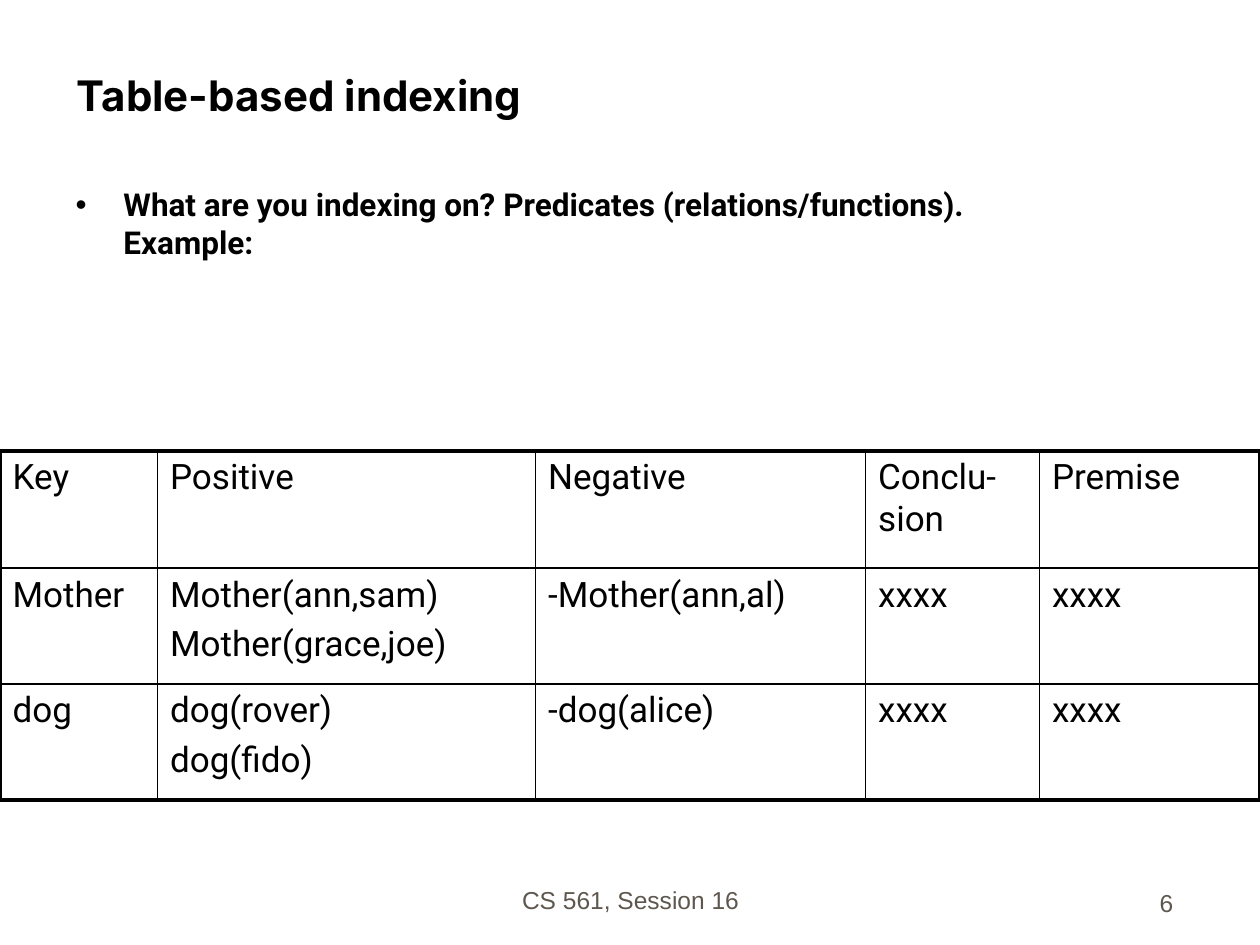
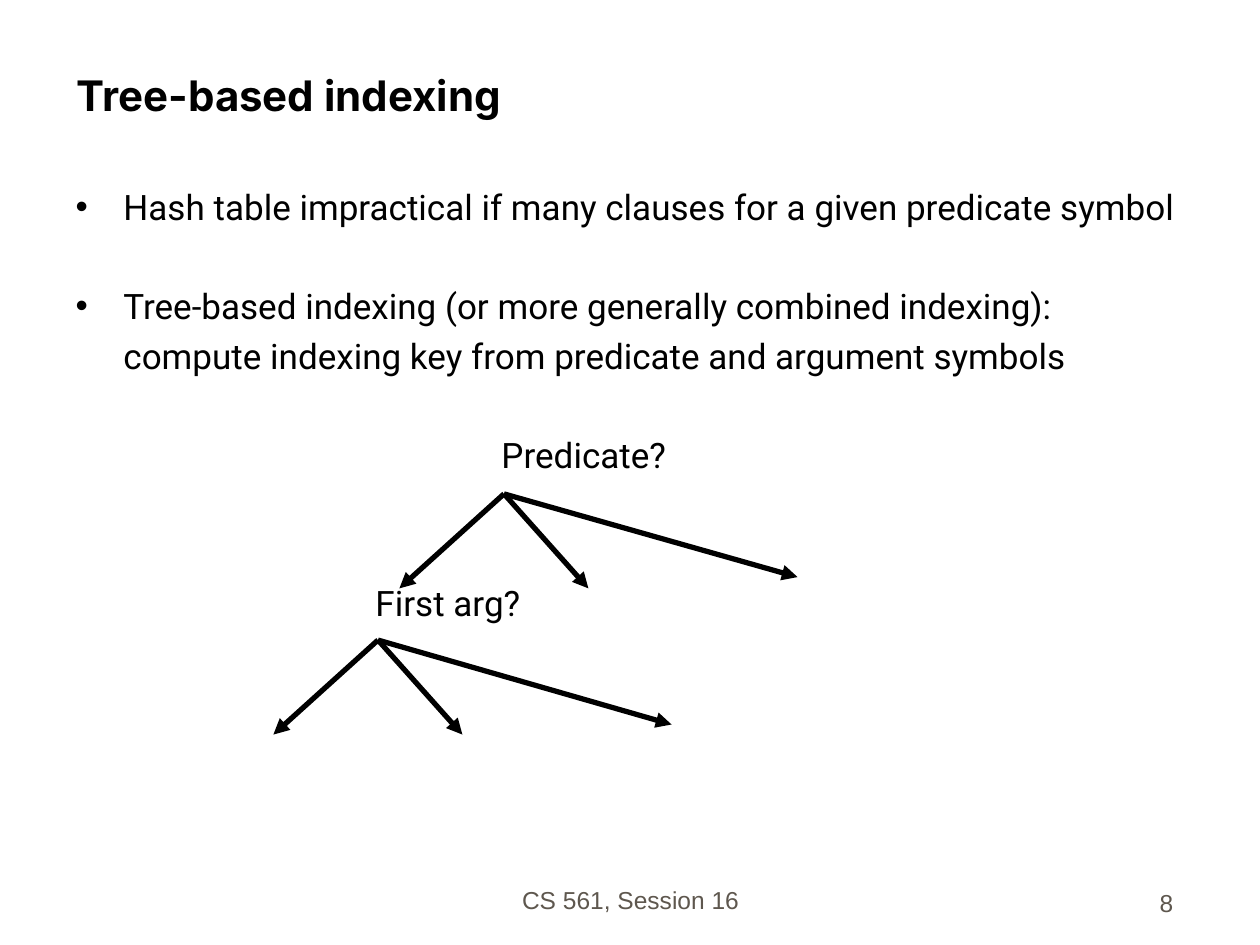
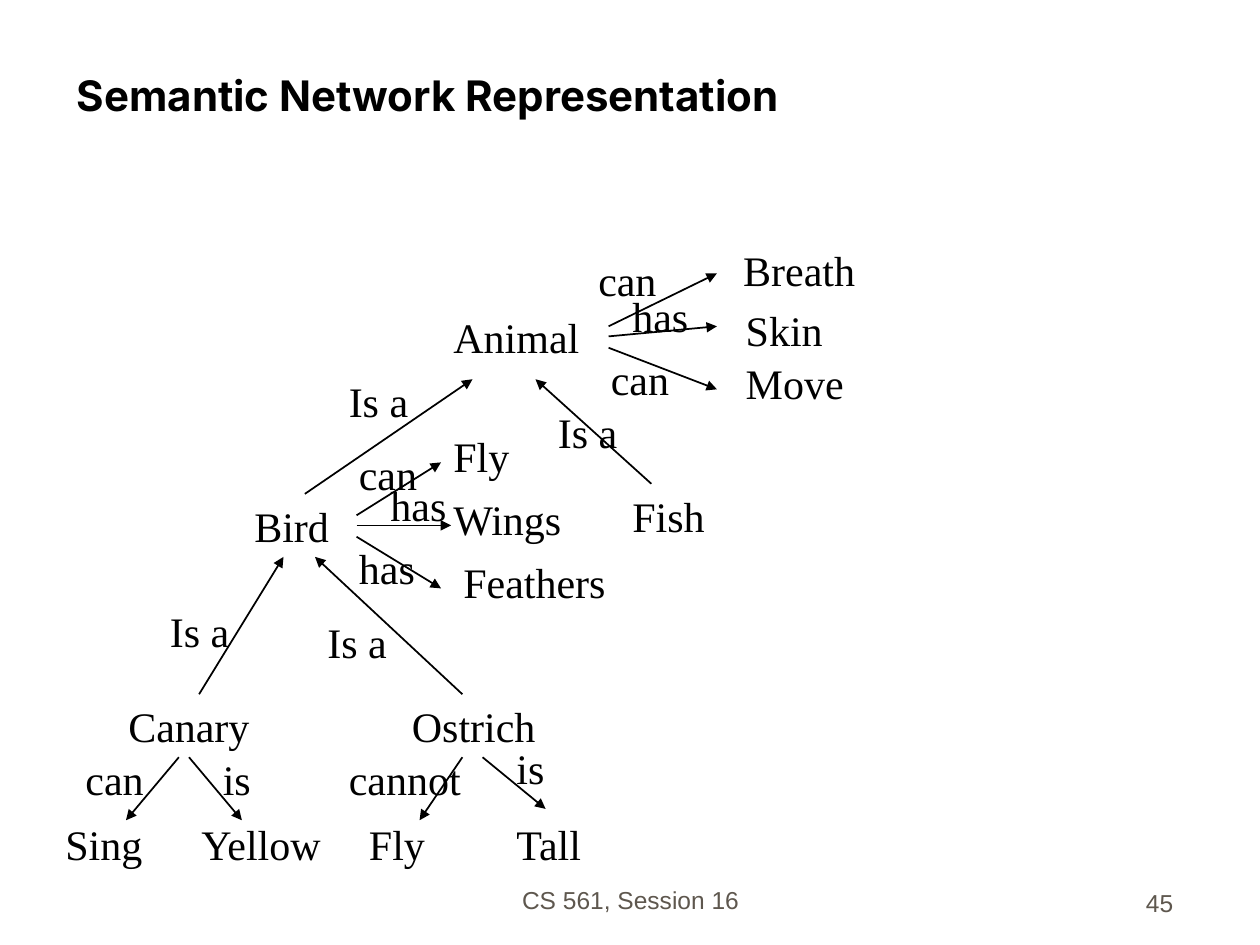
from dataclasses import dataclass
from typing import NamedTuple

from lxml.etree import SubElement
from pptx import Presentation
from pptx.dml.color import RGBColor
from pptx.enum.shapes import MSO_CONNECTOR
from pptx.enum.text import MSO_ANCHOR, MSO_AUTO_SIZE, PP_ALIGN
from pptx.oxml.ns import qn
from pptx.util import Inches, Pt

# Shared look
BLACK = "000000"
FOOTER_GREY = "5E574E"
TITLE_FONT, BODY_FONT = "Inter", "Roboto"
FOOTER_FONT, NETWORK_FONT = "Arial", "Times New Roman"
FOOTER_TEXT = "CS 561, Session 16"
HANGING = 0.38
TITLE_ONLY, TITLE_AND_BODY = 5, 1
THIN, THICK = 1, 2.25


class Box(NamedTuple):
    left: float
    top: float
    width: float
    height: float


TITLE_BOX = Box(0.51, 0.25, 8.92, 0.75)
BODY_BOX = Box(0.5, 1.42, 8.94, 5.21)
FOOTER_BOX = Box(3.42, 6.81, 3.17, 0.5)
NUMBER_BOX = Box(7.33, 6.83, 2.08, 0.5)


@dataclass
class Line:
    """One paragraph of the body list."""
    text: str
    before: float = 0
    margin: float = HANGING
    bullet: bool = False


class Label(NamedTuple):
    text: str
    left: float
    top: float


class Fan(NamedTuple):
    """Arrows that leave one point."""
    start: tuple[float, float]
    ends: list[tuple[float, float]]


class Arrow(NamedTuple):
    start: tuple[float, float]
    end: tuple[float, float]


# Helpers
def colour(value: str) -> RGBColor:
    return RGBColor.from_string(value)


def place(shape, box: Box) -> None:
    shape.left, shape.top, shape.width, shape.height = map(Inches, box)


def style(para, font: str, size: float, value: str = BLACK, bold: bool = False) -> None:
    for span in para.runs:
        span.font.name = font
        span.font.size = Pt(size)
        span.font.bold = bold
        span.font.color.rgb = colour(value)


def add_text(page, text: str, box: Box, font: str, size: float,
             value: str = BLACK, align=PP_ALIGN.LEFT,
             anchor=MSO_ANCHOR.TOP, wrap: bool = True) -> None:
    frame = page.shapes.add_textbox(*map(Inches, box)).text_frame
    frame.text = text
    frame.word_wrap = wrap
    frame.auto_size = MSO_AUTO_SIZE.NONE if wrap else MSO_AUTO_SIZE.SHAPE_TO_FIT_TEXT
    frame.vertical_anchor = anchor
    frame.paragraphs[0].alignment = align
    style(frame.paragraphs[0], font, size, value)


def add_page(deck, layout: int, title: str, number: int):
    page = deck.slides.add_slide(deck.slide_layouts[layout])
    heading = page.shapes.title
    place(heading, TITLE_BOX)
    frame = heading.text_frame
    frame.text = title
    frame.auto_size = MSO_AUTO_SIZE.NONE
    frame.vertical_anchor = MSO_ANCHOR.BOTTOM
    frame.paragraphs[0].alignment = PP_ALIGN.LEFT
    style(frame.paragraphs[0], TITLE_FONT, 24, bold=True)
    for text, box, align in ((FOOTER_TEXT, FOOTER_BOX, PP_ALIGN.CENTER),
                             (str(number), NUMBER_BOX, PP_ALIGN.RIGHT)):
        add_text(page, text, box, FOOTER_FONT, 14, FOOTER_GREY, align, MSO_ANCHOR.BOTTOM)
    return page


def fill_body(page, lines: list[Line], size: float, bold: bool = False) -> None:
    body = page.placeholders[1]
    place(body, BODY_BOX)
    frame = body.text_frame
    frame.auto_size = MSO_AUTO_SIZE.NONE
    frame.text = "\n".join(line.text for line in lines)
    for para, line in zip(frame.paragraphs, lines):
        para.space_before = Pt(line.before)
        style(para, BODY_FONT, size, bold=bold)
        props = para._p.get_or_add_pPr()
        props.set("marL", str(Inches(line.margin)))
        props.set("indent", str(Inches(-HANGING if line.bullet else 0)))
        if line.bullet:
            tint = SubElement(props, qn("a:buClr"))
            SubElement(tint, qn("a:srgbClr"), val=BLACK)
            SubElement(props, qn("a:buFont"), typeface="Arial")
            SubElement(props, qn("a:buChar"), char="•")
        else:
            SubElement(props, qn("a:buNone"))


def add_arrow(page, arrow: Arrow, width: float) -> None:
    line = page.shapes.add_connector(
        MSO_CONNECTOR.STRAIGHT, *map(Inches, arrow.start + arrow.end))
    line.line.color.rgb = colour(BLACK)
    line.line.width = Pt(width)
    SubElement(line.line._get_or_add_ln(), qn("a:tailEnd"), type="triangle")
    SubElement(line._element.spPr, qn("a:effectLst"))


def add_fan(page, fan: Fan, width: float) -> None:
    for end in fan.ends:
        add_arrow(page, Arrow(fan.start, end), width)


def set_borders(cell, left: float, right: float, top: float, bottom: float) -> None:
    props = cell._tc.get_or_add_tcPr()
    for side, width in zip("LRTB", (left, right, top, bottom)):
        edge = SubElement(props, qn(f"a:ln{side}"), w=str(Pt(width)))
        fill = SubElement(edge, qn("a:solidFill"))
        SubElement(fill, qn("a:srgbClr"), val=BLACK)


def add_grid(page, rows: list[list[str]], widths: list[float],
             heights: list[float], left: float, top: float) -> None:
    table = page.shapes.add_table(
        len(rows), len(widths), Inches(left), Inches(top),
        Inches(sum(widths)), Inches(sum(heights))).table
    table.first_row = table.horz_banding = False
    for column, width in zip(table.columns, widths):
        column.width = Inches(width)
    for row, height in zip(table.rows, heights):
        row.height = Inches(height)
    last_row, last_column = len(rows) - 1, len(widths) - 1
    for i, row in enumerate(rows):
        for j, text in enumerate(row):
            cell = table.cell(i, j)
            cell.text = text
            for k, para in enumerate(cell.text_frame.paragraphs):
                para.space_before = Pt(4.6 if k else 0)
                style(para, BODY_FONT, 20)
            set_borders(cell,
                        THICK if j == 0 else THIN,
                        THICK if j == last_column else THIN,
                        THICK if i == 0 else THIN,
                        THICK if i == last_row else THIN)
            cell.fill.background()


# Table-based indexing
INDEX_ROWS = [
    ["Key", "Positive", "Negative", "Conclu-sion", "Premise"],
    ["Mother", "Mother(ann,sam)\nMother(grace,joe)", "-Mother(ann,al)", "xxxx", "xxxx"],
    ["dog", "dog(rover)\ndog(fido)", "-dog(alice)", "xxxx", "xxxx"],
]


def build_table_page(deck) -> None:
    page = add_page(deck, TITLE_AND_BODY, "Table-based indexing", 6)
    fill_body(page, [Line("What are you indexing on? Predicates "
                          "(relations/functions).\vExample:", bullet=True)], 18, bold=True)
    add_grid(page, INDEX_ROWS, [1.25, 3, 2.62, 1.38, 1.75], [0.93, 0.92, 0.92], 0, 3.58)


# Tree-based indexing
PITCH = 28    # one line of body text with its gap, in points
GAP = 4.6
TREE_LINES = [
    Line("Hash table impractical if many clauses for a given predicate symbol", bullet=True),
    Line("Tree-based indexing (or more generally combined indexing):", GAP + PITCH, bullet=True),
    Line("compute indexing key from predicate and argument symbols", GAP),
    Line("Predicate?", GAP + PITCH, 3.38),
    Line("First arg?", GAP + 2 * PITCH, 2.38),
]
TREE_FANS = [
    Fan((4, 3.92), [(3.17, 4.67), (4.67, 4.67), (6.33, 4.58)]),
    Fan((3, 5.08), [(2.17, 5.83), (3.67, 5.83), (5.33, 5.75)]),
]


def build_tree_page(deck) -> None:
    page = add_page(deck, TITLE_AND_BODY, "Tree-based indexing", 8)
    fill_body(page, TREE_LINES, 20)
    for fan in TREE_FANS:
        add_fan(page, fan, 3)


# Semantic network
LABEL_WIDTHS = {
    "Animal": 1.2, "Ostrich": 1.18, "Canary": 1.16, "Fish": 0.78, "Bird": 0.79,
    "Breath": 1.09, "Skin": 0.81, "Move": 0.98, "Feathers": 1.33, "Wings": 1.07,
    "Fly": 0.65, "Tall": 0.74, "Yellow": 1.18, "Sing": 0.81,
    "can": 0.66, "has": 0.65, "Is a": 0.67, "is": 0.42, "cannot": 1.09,
}
CONCEPTS = [
    Label("Animal", 3.5, 2.42), Label("Ostrich", 3.17, 5.51), Label("Canary", 0.92, 5.51),
    Label("Fish", 4.92, 3.84), Label("Bird", 1.92, 3.92),
]
PROPERTIES = [
    Label("Breath", 5.8, 1.89), Label("Skin", 5.82, 2.37), Label("Move", 5.82, 2.79),
    Label("Feathers", 3.58, 4.37), Label("Wings", 3.5, 3.87), Label("Fly", 3.5, 3.37),
    Label("Tall", 4, 6.45), Label("Fly", 2.83, 6.45),
    Label("Yellow", 1.5, 6.45), Label("Sing", 0.42, 6.45),
]
RELATIONS = [
    Label("can", 4.65, 1.97), Label("can", 4.75, 2.76), Label("has", 4.92, 2.26),
    Label("has", 3, 3.76), Label("can", 2.75, 3.51), Label("Is a", 1.25, 4.76),
    Label("Is a", 2.5, 4.84), Label("has", 2.75, 4.26), Label("is", 1.67, 5.93),
    Label("is", 4, 5.84), Label("can", 0.58, 5.93), Label("cannot", 2.67, 5.93),
    Label("Is a", 2.67, 2.93), Label("Is a", 4.33, 3.18),
]
PARENT_ARROWS = [
    Arrow((2.42, 3.92), (3.75, 3.01)), Arrow((5.17, 3.84), (4.25, 3.01)),
    Arrow((1.58, 5.51), (2.25, 4.42)), Arrow((3.67, 5.51), (2.5, 4.42)),
]
PROPERTY_ARROWS = [
    Arrow((1.42, 6.01), (1, 6.51)), Arrow((1.5, 6.01), (1.92, 6.51)),
    Arrow((3.67, 6.01), (3.33, 6.51)), Arrow((3.83, 6.01), (4.33, 6.42)),
    Arrow((2.83, 4.09), (3.5, 3.67)), Arrow((2.83, 4.17), (3.58, 4.17)),
    Arrow((2.83, 4.26), (3.5, 4.67)), Arrow((4.83, 2.59), (5.69, 2.17)),
    Arrow((4.83, 2.67), (5.69, 2.59)), Arrow((4.83, 2.76), (5.69, 3.09)),
]


def add_labels(page, labels: list[Label]) -> None:
    for label in labels:
        box = Box(label.left, label.top, LABEL_WIDTHS[label.text], 0.5)
        add_text(page, label.text, box, NETWORK_FONT, 24, wrap=False)


def build_network_page(deck) -> None:
    page = add_page(deck, TITLE_ONLY, "Semantic Network Representation", 45)
    add_labels(page, CONCEPTS)
    for arrow in PARENT_ARROWS + PROPERTY_ARROWS:
        add_arrow(page, arrow, 1)
    add_labels(page, PROPERTIES + RELATIONS)


def main() -> None:
    deck = Presentation()
    deck.slide_width, deck.slide_height = Inches(10), Inches(7.5)
    build_table_page(deck)
    build_tree_page(deck)
    build_network_page(deck)
    deck.save("out.pptx")


main()
